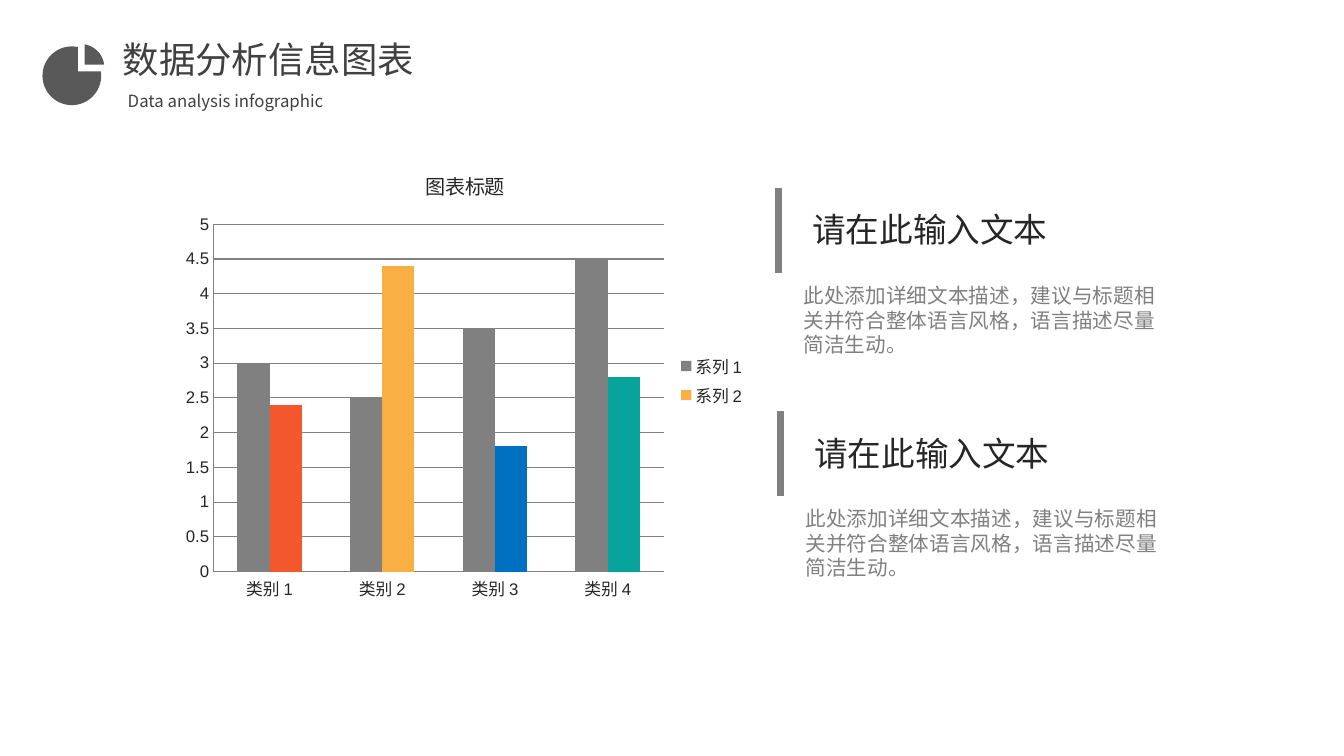
from dataclasses import dataclass
from math import acos, asin, cos, pi, sin

from pptx import Presentation
from pptx import util as u
from pptx.chart.data import CategoryChartData
from pptx.dml.color import RGBColor
from pptx.enum import chart as charts, shapes, text
from pptx.oxml.ns import qn
from lxml import etree


@dataclass(frozen=True)
class Theme:
    font: str = "Arial"
    title_font: str = "Noto Sans CJK SC"
    ink: str = "262626"
    title: str = "404040"
    icon: str = "595959"
    grey: str = "808080"
    amber: str = "F9AF44"
    orange: str = "F3572D"
    blue: str = "0070C0"
    teal: str = "05A39C"
    title_size: float = 26
    heading_size: float = 24
    body_size: float = 14.7
    chart_title_size: float = 14.4
    small_size: float = 12
    bar_width: float = 4.5


THEME = Theme()


def rgb(value):
    return RGBColor.from_string(value)


def format_font(font, size, color, name=THEME.font):
    font.name = name
    font.size = u.Pt(size)
    font.color.rgb = rgb(color)
    font.bold = False


def write_text(shape, words, *, size, color, name=THEME.font, wrap=False,
               align=text.PP_ALIGN.LEFT, anchor=text.MSO_ANCHOR.MIDDLE):
    frame = shape.text_frame
    frame.auto_size = text.MSO_AUTO_SIZE.NONE
    frame.word_wrap = wrap
    frame.vertical_anchor = anchor
    paragraph = frame.paragraphs[0]
    paragraph.alignment = align
    run = paragraph.add_run()
    run.text = words
    format_font(run.font, size, color, name)


def add_text(slide, left, top, width, height, words, **style):
    box = slide.shapes.add_textbox(u.Cm(left), u.Cm(top), u.Cm(width), u.Cm(height))
    write_text(box, words, **style)


def arc(center, radius, start, end, steps=48):
    angles = [start + (end - start) * step / steps for step in range(steps + 1)]
    return [(center[0] + radius * cos(a), center[1] + radius * sin(a)) for a in angles]


def notch_angles(center, radius, corner):
    top = -acos((corner[0] - center[0]) / radius)
    right = asin((corner[1] - center[1]) / radius)
    return top, right


def add_pie_icon(slide, left, top):
    units = 1000
    disc, disc_radius, disc_corner = (0.74, 0.79), 0.74, (0.89, 0.68)
    wedge, wedge_radius, wedge_corner = (0.96, 0.59), 0.6, (1.06, 0.51)
    disc_top, disc_right = notch_angles(disc, disc_radius, disc_corner)
    outlines = [
        [disc_corner] + arc(disc, disc_radius, disc_right, disc_top + 2 * pi),
        [wedge_corner] + arc(wedge, wedge_radius,
                             *notch_angles(wedge, wedge_radius, wedge_corner)),
    ]
    builder = None
    for outline in outlines:
        points = [(round(x * units), round(y * units)) for x, y in outline]
        if builder is None:
            builder = slide.shapes.build_freeform(*points[0], scale=u.Cm(1) / units)
        else:
            builder.move_to(*points[0])
        builder.add_line_segments(points[1:], close=True)
    icon = builder.convert_to_shape(u.Cm(left), u.Cm(top))
    icon.shadow.inherit = False
    icon.fill.solid()
    icon.fill.fore_color.rgb = rgb(THEME.icon)
    icon.line.fill.background()


def add_header(slide, left, top):
    add_pie_icon(slide, left, top + 0.33)
    title = slide.shapes.title
    title.left, title.top = u.Cm(left + 1.77), u.Cm(top)
    title.width, title.height = u.Cm(7.92), u.Cm(1.37)
    write_text(title, "数据分析信息图表", size=THEME.title_size,
               color=THEME.title, name=THEME.title_font)
    add_text(slide, left + 1.9, top + 1.37, 5.64, 0.76, "Data analysis infographic",
             size=THEME.small_size, color=THEME.title, name=THEME.title_font)


def format_axis(axis):
    axis.major_tick_mark = charts.XL_TICK_MARK.NONE
    axis.minor_tick_mark = charts.XL_TICK_MARK.NONE
    axis.format.line.color.rgb = rgb(THEME.grey)
    axis.format.line.width = u.Pt(0.75)
    format_font(axis.tick_labels.font, THEME.small_size, THEME.ink)


def fill_solid(part, color):
    part.format.fill.solid()
    part.format.fill.fore_color.rgb = rgb(color)


def add_column_chart(slide, left, top, width, height):
    data = CategoryChartData()
    data.categories = ["类别 1", "类别 2", "类别 3", "类别 4"]
    data.add_series("系列 1", (3, 2.5, 3.5, 4.5))
    data.add_series("系列 2", (2.4, 4.4, 1.8, 2.8))
    chart = slide.shapes.add_chart(
        charts.XL_CHART_TYPE.COLUMN_CLUSTERED,
        u.Cm(left), u.Cm(top), u.Cm(width), u.Cm(height), data).chart
    format_font(chart.font, THEME.small_size, THEME.ink)

    chart.has_title = True
    paragraph = chart.chart_title.text_frame.paragraphs[0]
    run = paragraph.add_run()
    run.text = "图表标题"
    format_font(run.font, THEME.chart_title_size, THEME.ink)

    chart.has_legend = True
    chart.legend.position = charts.XL_LEGEND_POSITION.RIGHT
    chart.legend.include_in_layout = False
    format_font(chart.legend.font, THEME.small_size, THEME.ink)

    format_axis(chart.category_axis)
    values = chart.value_axis
    format_axis(values)
    values.minimum_scale, values.maximum_scale, values.major_unit = 0, 5, 0.5
    values.has_major_gridlines = True
    values.major_gridlines.format.line.color.rgb = rgb(THEME.grey)
    values.major_gridlines.format.line.width = u.Pt(0.75)

    plot = chart.plots[0]
    plot.gap_width, plot.overlap = 150, 0
    plot.vary_by_categories = False
    for series, color in zip(plot.series, (THEME.grey, THEME.amber)):
        fill_solid(series, color)
    for index, color in {0: THEME.orange, 2: THEME.blue, 3: THEME.teal}.items():
        fill_solid(plot.series[1].points[index], color)


def add_text_block(slide, left, top, heading, body):
    bar = slide.shapes.add_connector(
        shapes.MSO_CONNECTOR.STRAIGHT,
        u.Cm(left), u.Cm(top), u.Cm(left), u.Cm(top + 2.14))
    bar.line.color.rgb = rgb(THEME.grey)
    bar.line.width = u.Pt(THEME.bar_width)
    etree.SubElement(bar.element.spPr, qn("a:effectLst"))
    add_text(slide, left + 0.53, top + 0.41, 6.5, 1.27, heading,
             size=THEME.heading_size, color=THEME.ink, align=text.PP_ALIGN.RIGHT)
    add_text(slide, left + 0.38, top + 2.26, 9.6, 2.13, body, wrap=True,
             size=THEME.body_size, color=THEME.grey, anchor=text.MSO_ANCHOR.TOP)


def main():
    presentation = Presentation()
    presentation.slide_width, presentation.slide_height = u.Cm(33.87), u.Cm(19.05)
    slide = presentation.slides.add_slide(presentation.slide_layouts[5])
    add_column_chart(slide, 4.39, 3.81, 14.66, 11.56)
    for index in range(2):
        add_text_block(slide, 19.62 + 0.05 * index, 4.74 + 5.62 * index, "请在此输入文本",
                       "此处添加详细文本描述，建议与标题相关并符合整体语言风格，语言描述尽量简洁生动。")
    add_header(slide, 1.07, 0.79)
    presentation.save("out.pptx")


if __name__ == "__main__":
    main()
